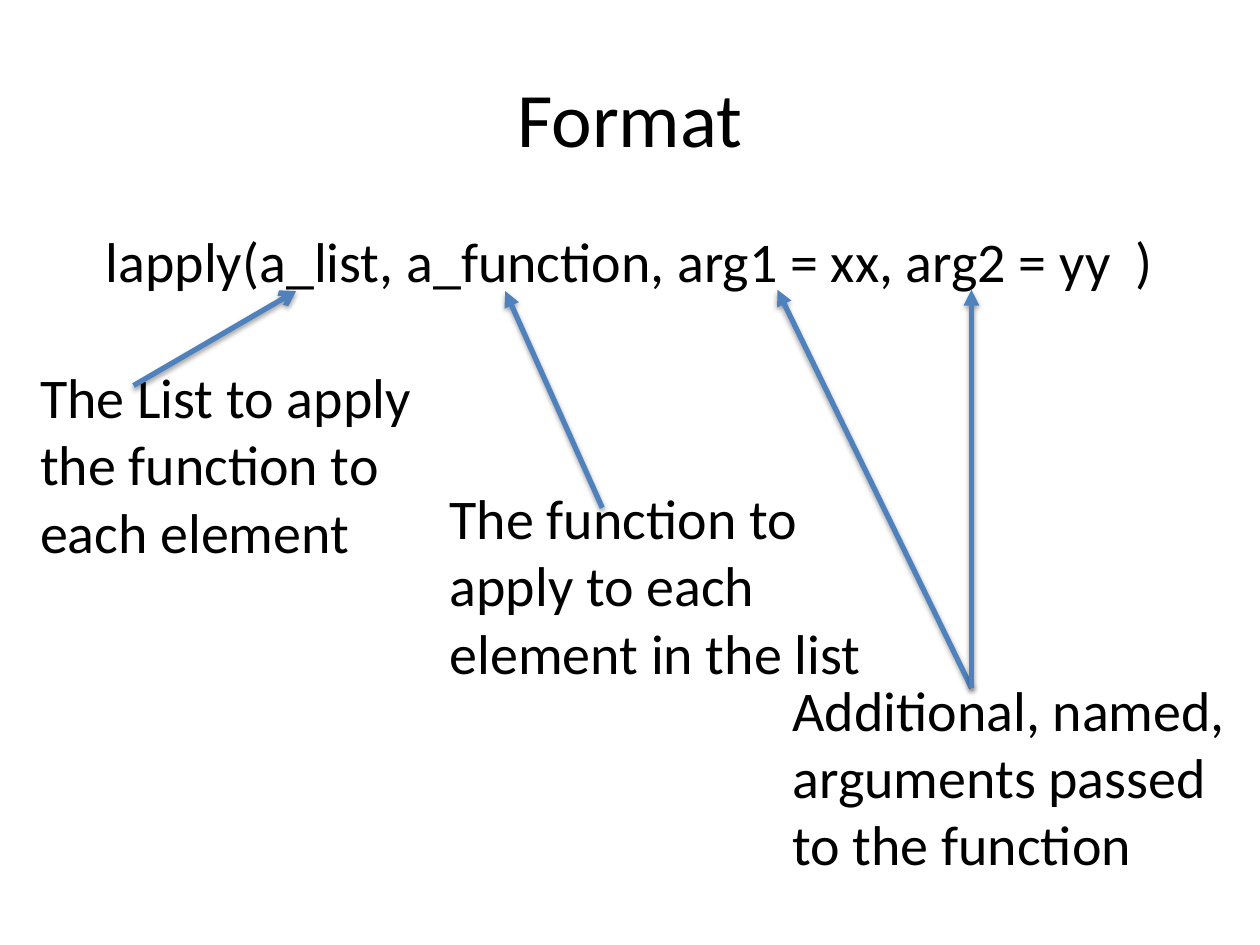
from dataclasses import dataclass

from lxml import etree
from pptx import Presentation
from pptx.dml.color import RGBColor
from pptx.enum.shapes import MSO_CONNECTOR
from pptx.enum.text import MSO_ANCHOR, MSO_AUTO_SIZE, PP_ALIGN
from pptx.oxml.ns import qn
from pptx.util import Inches, Pt

LINE = MSO_CONNECTOR.STRAIGHT
MIDDLE, TOP = MSO_ANCHOR.MIDDLE, MSO_ANCHOR.TOP
CENTER, LEFT = PP_ALIGN.CENTER, PP_ALIGN.LEFT
GROW = MSO_AUTO_SIZE.SHAPE_TO_FIT_TEXT


@dataclass(frozen=True)
class Theme:
    font: str = "Calibri"
    ink: str = "000000"
    line: str = "4F81BD"
    title: int = 44
    body: int = 32
    stroke: int = 3


THEME = Theme()


def place(shape, box):
    shape.left, shape.top, shape.width, shape.height = map(Inches, box)


def write(shape, text, size=THEME.body, align=LEFT, anchor=TOP):
    frame = shape.text_frame
    frame.word_wrap = True
    frame.vertical_anchor = anchor
    para = frame.paragraphs[0]
    para.alignment = align
    run = para.add_run()
    run.text = text
    run.font.name = THEME.font
    run.font.size = Pt(size)
    run.font.color.rgb = RGBColor.from_string(THEME.ink)
    return para


def add_shade(props):
    effects = etree.SubElement(props, qn("a:effectLst"))
    shade = etree.SubElement(
        effects, qn("a:outerShdw"), blurRad=str(Pt(3.1)), dist=str(Pt(1.6)),
        dir="5400000", rotWithShape="0")
    color = etree.SubElement(shade, qn("a:srgbClr"), val=THEME.ink)
    etree.SubElement(color, qn("a:alpha"), val="38000")


def add_arrow(slide, start, tip, head):
    arrow = slide.shapes.add_connector(LINE, *map(Inches, start + tip))
    arrow.line.color.rgb = RGBColor.from_string(THEME.line)
    arrow.line.width = Pt(THEME.stroke)
    etree.SubElement(arrow.line._get_or_add_ln(), qn("a:tailEnd"), type=head)
    add_shade(arrow._element.spPr)


def add_title(slide, box, text):
    title = slide.shapes.title
    place(title, box)
    write(title, text, size=THEME.title, align=CENTER, anchor=MIDDLE)


def add_call(slide, box, text):
    body = slide.placeholders[1]
    place(body, box)
    props = write(body, text, align=CENTER)._p.get_or_add_pPr()
    props.set("marL", "0")
    props.set("indent", "0")
    etree.SubElement(props, qn("a:buNone"))


def add_note(slide, box, text, root, tips, head="triangle"):
    note = slide.shapes.add_textbox(*map(Inches, box))
    write(note, text)
    note.text_frame.auto_size = GROW
    start = (box[0] + root[0], box[1] + root[1])
    for tip in tips:
        add_arrow(slide, start, tip, head)


def main():
    deck = Presentation()
    deck.slide_width, deck.slide_height = Inches(10), Inches(7.5)
    slide = deck.slides.add_slide(deck.slide_layouts[1])
    add_title(slide, (0.5, 0.3, 9, 1.25), "Format")
    add_call(slide, (0.5, 1.75, 9, 1.54),
             "lapply(a_list, a_function, arg1 = xx, arg2 = yy  )")
    add_note(slide, (0.22, 2.83, 3.44, 1.72),
             "The List to apply the function to each element",
             (0.84, 0.23), [(2.35, 2.31)], head="arrow")
    add_note(slide, (3.47, 3.79, 3.94, 1.72),
             "The function to apply to each element in the list",
             (1.31, 0.24), [(4.01, 2.31)])
    add_note(slide, (6.19, 5.31, 3.69, 1.72),
             "Additional, named, arguments passed to the function",
             (1.52, 0.15), [(6.17, 2.3), (7.71, 2.3)])
    deck.save("out.pptx")


if __name__ == "__main__":
    main()
